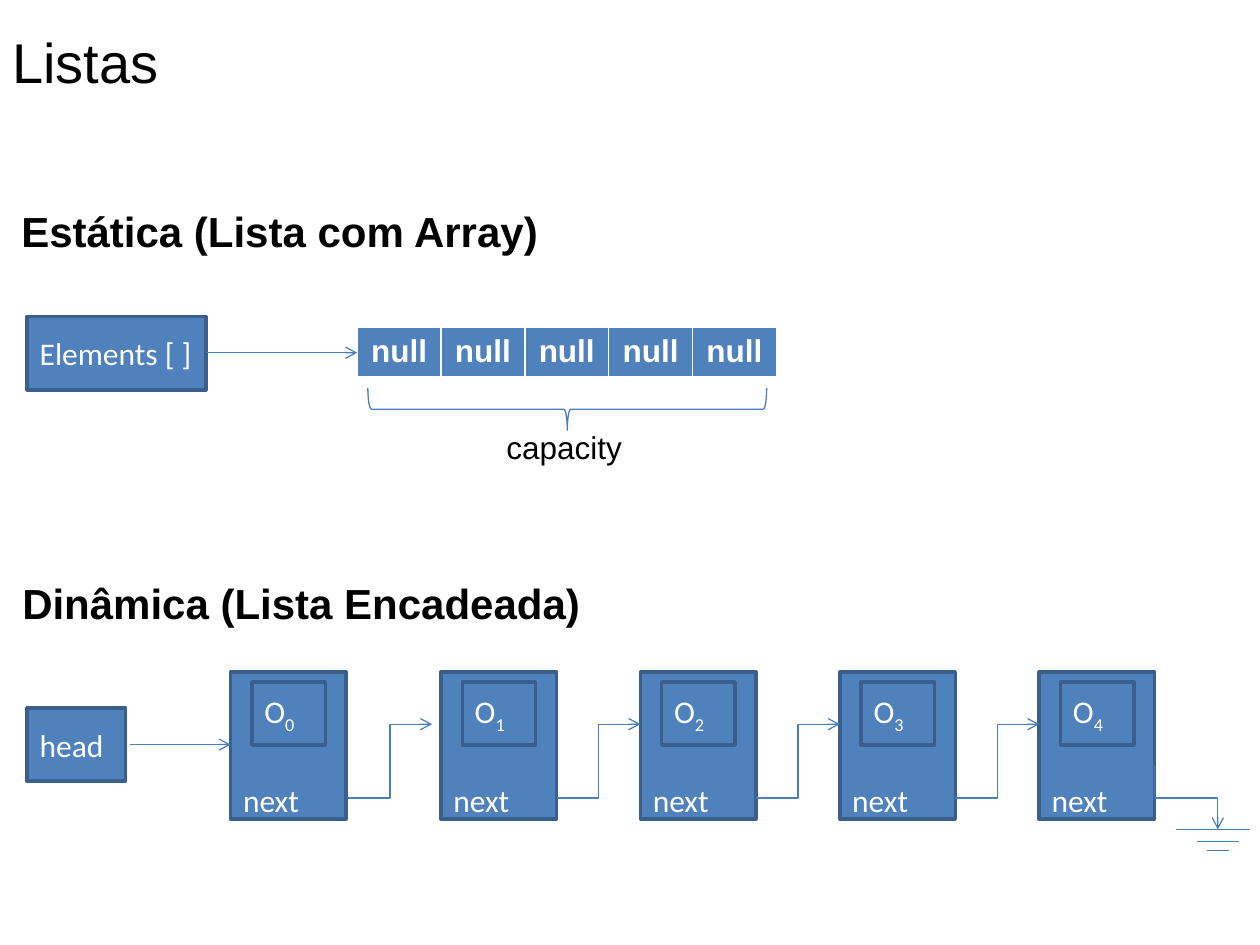
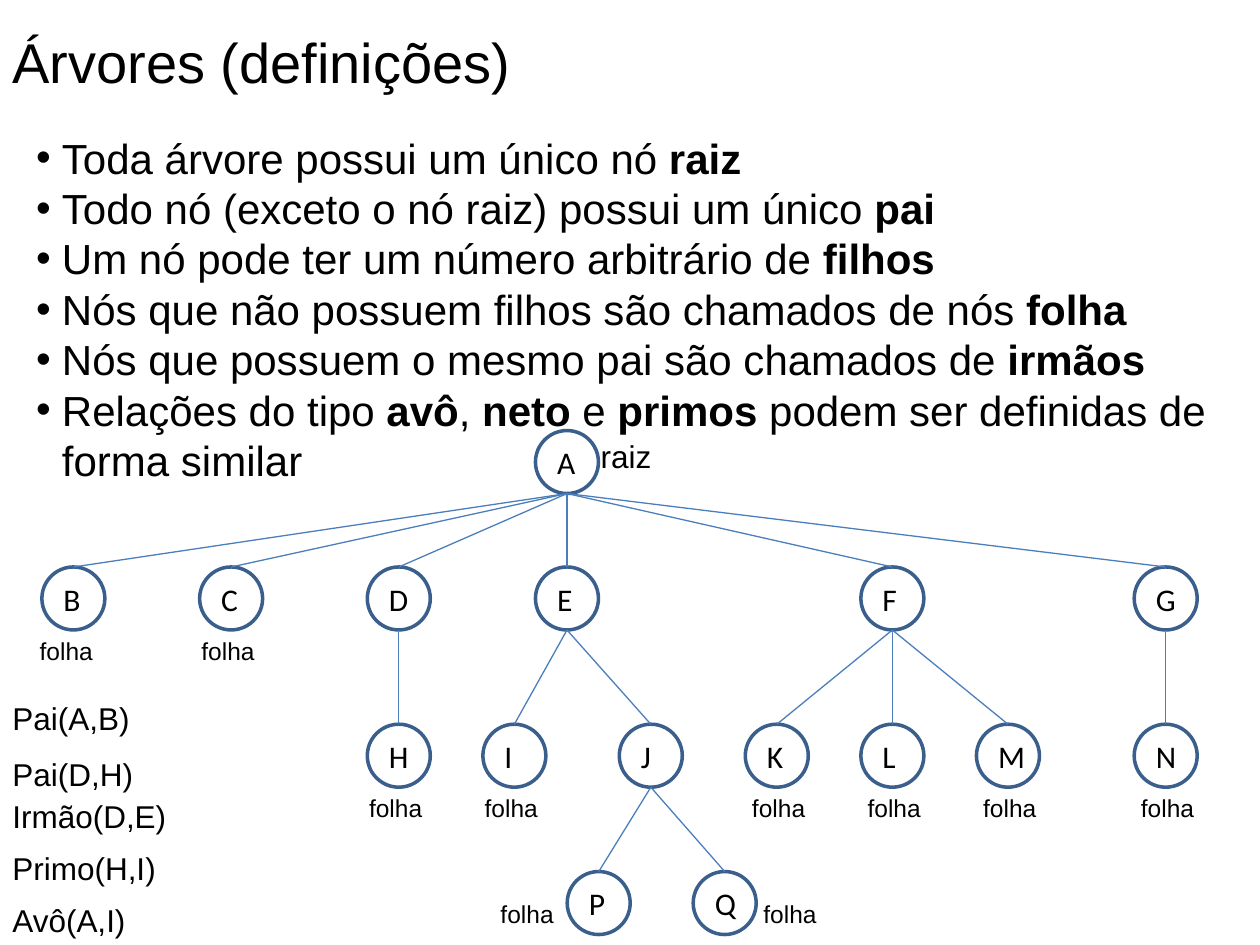
"""Build two slides on lists and trees as data structures."""
import lxml.etree
import pptx
import pptx.dml.color
import pptx.enum.shapes
import pptx.enum.text
import pptx.oxml.ns
import pptx.util

Cm, Pt = pptx.util.Cm, pptx.util.Pt
SHAPES = pptx.enum.shapes.MSO_SHAPE
LINKS = pptx.enum.shapes.MSO_CONNECTOR
ALIGN = pptx.enum.text.PP_ALIGN
ANCHOR = pptx.enum.text.MSO_ANCHOR
AUTO_SIZE = pptx.enum.text.MSO_AUTO_SIZE
qn = pptx.oxml.ns.qn

COLOURS = {"fill": "4F81BD", "outline": "3A5F8C", "link": "4B7EBC", "white": "FFFFFF", "black": "000000"}

TITLES = {"lists": ("Listas", 3.48), "trees": ("Árvores (definições)", 10.64)}
SECTIONS = [("Estática (Lista com Array)", 0.18, 4.01), ("Dinâmica (Lista Encadeada)", 0.2, 11.51)]

ARRAY_VALUES = ["null"] * 5
ARRAY = {"left": 7.2, "top": 6.6, "column": 1.69, "height": 1.02}
POINTERS = [("Elements [ ]", 0.55, 6.38, 3.6), ("head", 0.55, 14.27, 1.98)]
POINTER_ARROWS = [(4.15, 7.11, 7.2), (2.62, 15.01, 4.65)]

LIST_NODE = {"top": 13.55, "width": 2.33, "height": 2.96}
LIST_OBJECT = {"inset": 0.43, "top": 13.75, "width": 1.48, "height": 1.27}
LIST_LEFTS = [4.65, 8.89, 12.91, 16.93, 20.95]
NEXT_STARTS = [7.02, 11.22, 15.24, 19.26]
NEXT_WIDTH, NEXT_FROM, NEXT_TO = 1.69, 16.09, 14.6
GROUND_DROP = {"left": 23.28, "top": 15.45, "size": 1.27}
GROUND_BARS = [(23.71, 25.19, 16.72), (24.13, 24.98, 16.97), (24.34, 24.77, 17.15)]

DEFINITIONS = [
    "Toda árvore possui um único nó *raiz*",
    "Todo nó (exceto o nó raiz) possui um único *pai*",
    "Um nó pode ter um número arbitrário de *filhos*",
    "Nós que não possuem filhos são chamados de nós *folha*",
    "Nós que possuem o mesmo pai são chamados de *irmãos*",
    "Relações do tipo *avô*, *neto* e *primos* podem ser definidas de forma similar",
]
RELATIONS = [
    ("Pai(A,B)", 13.97, 2.9),
    ("Pai(D,H)", 15.09, 2.97),
    ("Irmão(D,E)", 15.95, 3.66),
    ("Primo(H,I)", 16.99, 3.43),
    ("Avô(A,I)", 18.03, 2.82),
]

NODE_SIZE = 1.27
LEVELS = [
    (8.68, {"A": 11.43}),
    (11.43, {"B": 1.48, "C": 4.66, "D": 8.04, "E": 11.43, "F": 17.99, "G": 23.5}),
    (14.6, {"H": 8.04, "I": 10.37, "J": 13.12, "K": 15.66, "L": 17.99, "M": 20.32, "N": 23.5}),
    (17.57, {"P": 12.07, "Q": 14.61}),
]
CHILDREN = {"A": "BCDEFG", "D": "H", "E": "IJ", "F": "KLM", "G": "N", "J": "PQ"}
LEAF_LABELS = [("B", -0.93, 1.27), ("CHI", -0.85, 1.27), ("KLMN", -0.75, 1.27), ("P", -2.23, 0.43), ("Q", 0.53, 0.43)]


def rgb(name):
    return pptx.dml.color.RGBColor.from_string(COLOURS[name])


def style_runs(paragraph, size, colour="black", font="Arial", bold=False):
    for run in paragraph.runs:
        run.font.name, run.font.size, run.font.bold = font, Pt(size), bold
        run.font.color.rgb = rgb(colour)


def add_text(slide, text, left, top, width, height, size=18, bold=False, wrap=False):
    box = slide.shapes.add_textbox(Cm(left), Cm(top), Cm(width), Cm(height))
    frame = box.text_frame
    frame.text = text
    frame.word_wrap = wrap
    frame.auto_size = AUTO_SIZE.SHAPE_TO_FIT_TEXT
    style_runs(frame.paragraphs[0], size, bold=bold)
    return frame


def add_shape(slide, kind, left, top, width, height, text="", fill=None, line="outline", weight=2, colour="white"):
    shape = slide.shapes.add_shape(kind, Cm(left), Cm(top), Cm(width), Cm(height))
    shape.shadow.inherit = False
    if fill:
        shape.fill.solid()
        shape.fill.fore_color.rgb = rgb(fill)
    else:
        shape.fill.background()
    shape.line.color.rgb = rgb(line)
    shape.line.width = Pt(weight)
    if text:
        shape.text_frame.text = text
        style_runs(shape.text_frame.paragraphs[0], 18, colour, "Calibri")
    return shape


def add_link(slide, start, end, kind=LINKS.STRAIGHT, arrow=False):
    link = slide.shapes.add_connector(kind, *(Cm(value) for value in (*start, *end)))
    link.line.color.rgb = rgb("link")
    link.line.width = Pt(0.75)
    properties = link._element.spPr
    if arrow:
        lxml.etree.SubElement(properties.find(qn("a:ln")), qn("a:tailEnd"), type="arrow")
    lxml.etree.SubElement(properties, qn("a:effectLst"))
    return link


def add_slide(presentation, key):
    slide = presentation.slides.add_slide(presentation.slide_layouts[6])
    text, width = TITLES[key]
    add_text(slide, text, 0, 0.43, width, 1.62, 32)
    return slide


def border_cell(cell):
    properties = cell._tc.get_or_add_tcPr()
    for index, (side, weight) in enumerate([("L", 1), ("R", 1), ("T", 1), ("B", 3)]):
        border = lxml.etree.Element(qn("a:ln" + side), w=str(Pt(weight)))
        fill = lxml.etree.SubElement(border, qn("a:solidFill"))
        lxml.etree.SubElement(fill, qn("a:srgbClr"), val=COLOURS["white"])
        properties.insert(index, border)


def add_array(slide):
    width = ARRAY["column"] * len(ARRAY_VALUES)
    frame = slide.shapes.add_table(
        1, len(ARRAY_VALUES), Cm(ARRAY["left"]), Cm(ARRAY["top"]), Cm(width), Cm(ARRAY["height"]))
    for column, value in enumerate(ARRAY_VALUES):
        frame.table.columns[column].width = Cm(ARRAY["column"])
        cell = frame.table.cell(0, column)
        cell.text = value
        cell.fill.solid()
        cell.fill.fore_color.rgb = rgb("fill")
        paragraph = cell.text_frame.paragraphs[0]
        paragraph.alignment = ALIGN.CENTER
        style_runs(paragraph, 18, "white", bold=True)
        border_cell(cell)
    brace = add_shape(slide, SHAPES.RIGHT_BRACE, 11.01, 4.23, 0.85, 8.04, line="link", weight=0.75)
    brace.rotation = 90
    add_text(slide, "capacity", 9.96, 8.51, 2.87, 1.02)


def add_list_node(slide, index, left):
    node = add_shape(slide, SHAPES.RECTANGLE, left, LIST_NODE["top"], LIST_NODE["width"],
                     LIST_NODE["height"], "next", "fill")
    node.text_frame.vertical_anchor = ANCHOR.BOTTOM
    node.text_frame.margin_bottom = 0
    item = add_shape(slide, SHAPES.RECTANGLE, left + LIST_OBJECT["inset"], LIST_OBJECT["top"],
                     LIST_OBJECT["width"], LIST_OBJECT["height"], "O", "fill")
    paragraph = item.text_frame.paragraphs[0]
    subscript = paragraph.add_run()
    subscript.text = str(index)
    style_runs(paragraph, 18, "white", "Calibri")
    subscript._r.get_or_add_rPr().set("baseline", "-25000")


def add_ground(slide):
    left, top, size = GROUND_DROP.values()
    drop = add_link(slide, (left + size, top), (left, top + size), LINKS.ELBOW, True)
    drop._element.spPr.find(qn("a:xfrm")).set("rot", str(270 * 60000))
    for start, end, height in GROUND_BARS:
        add_link(slide, (start, height), (end, height))


def build_lists(presentation):
    slide = add_slide(presentation, "lists")
    for text, left, top in SECTIONS:
        add_text(slide, text, left, top, 24.33, 1.3, 24, True, True)
    for text, left, top, width in POINTERS:
        pointer = add_shape(slide, SHAPES.RECTANGLE, left, top, width, 1.48, text, "fill")
        pointer.text_frame.paragraphs[0].alignment = ALIGN.LEFT
    add_array(slide)
    for index, left in enumerate(LIST_LEFTS):
        add_list_node(slide, index, left)
    for start, height, end in POINTER_ARROWS:
        add_link(slide, (start, height), (end, height), arrow=True)
    for start in NEXT_STARTS:
        add_link(slide, (start, NEXT_FROM), (start + NEXT_WIDTH, NEXT_TO), LINKS.ELBOW, True)
    add_ground(slide)


def add_definitions(slide):
    frame = add_text(slide, "", 0.43, 2.54, 24.97, 8.46, wrap=True)
    for index, definition in enumerate(DEFINITIONS):
        paragraph = frame.paragraphs[0] if index == 0 else frame.add_paragraph()
        for position, part in enumerate(definition.split("*")):
            if part:
                run = paragraph.add_run()
                run.text = part
        style_runs(paragraph, 24)
        bold_parts = definition.split("*")[1::2]
        for run in paragraph.runs:
            run.font.bold = run.text in bold_parts
        properties = paragraph._p.get_or_add_pPr()
        properties.set("marL", str(Cm(0.57)))
        properties.set("indent", str(Cm(-0.52)))
        lxml.etree.SubElement(properties, qn("a:buFont"), typeface="Arial")
        lxml.etree.SubElement(properties, qn("a:buChar"), char="•")


def add_tree(slide):
    nodes = {name: (centre, top) for top, level in LEVELS for name, centre in level.items()}
    for name, (centre, top) in nodes.items():
        add_shape(slide, SHAPES.OVAL, centre - NODE_SIZE / 2, top, NODE_SIZE, NODE_SIZE, name, colour="black")
    for parent, children in CHILDREN.items():
        centre, top = nodes[parent]
        for child in children:
            add_link(slide, nodes[child], (centre, top + NODE_SIZE))
    add_text(slide, "raiz", 11.86, 8.68, 1.55, 1.02)
    for names, across, down in LEAF_LABELS:
        for name in names:
            centre, top = nodes[name]
            add_text(slide, "folha", centre + across, top + down, 1.6, 0.86, 14)


def build_trees(presentation):
    slide = add_slide(presentation, "trees")
    add_definitions(slide)
    add_tree(slide)
    for text, top, width in RELATIONS:
        add_text(slide, text, 0, top, width, 1.02)


presentation = pptx.Presentation()
presentation.slide_width, presentation.slide_height = Cm(25.4), Cm(19.05)
build_lists(presentation)
build_trees(presentation)
presentation.save("out.pptx")
